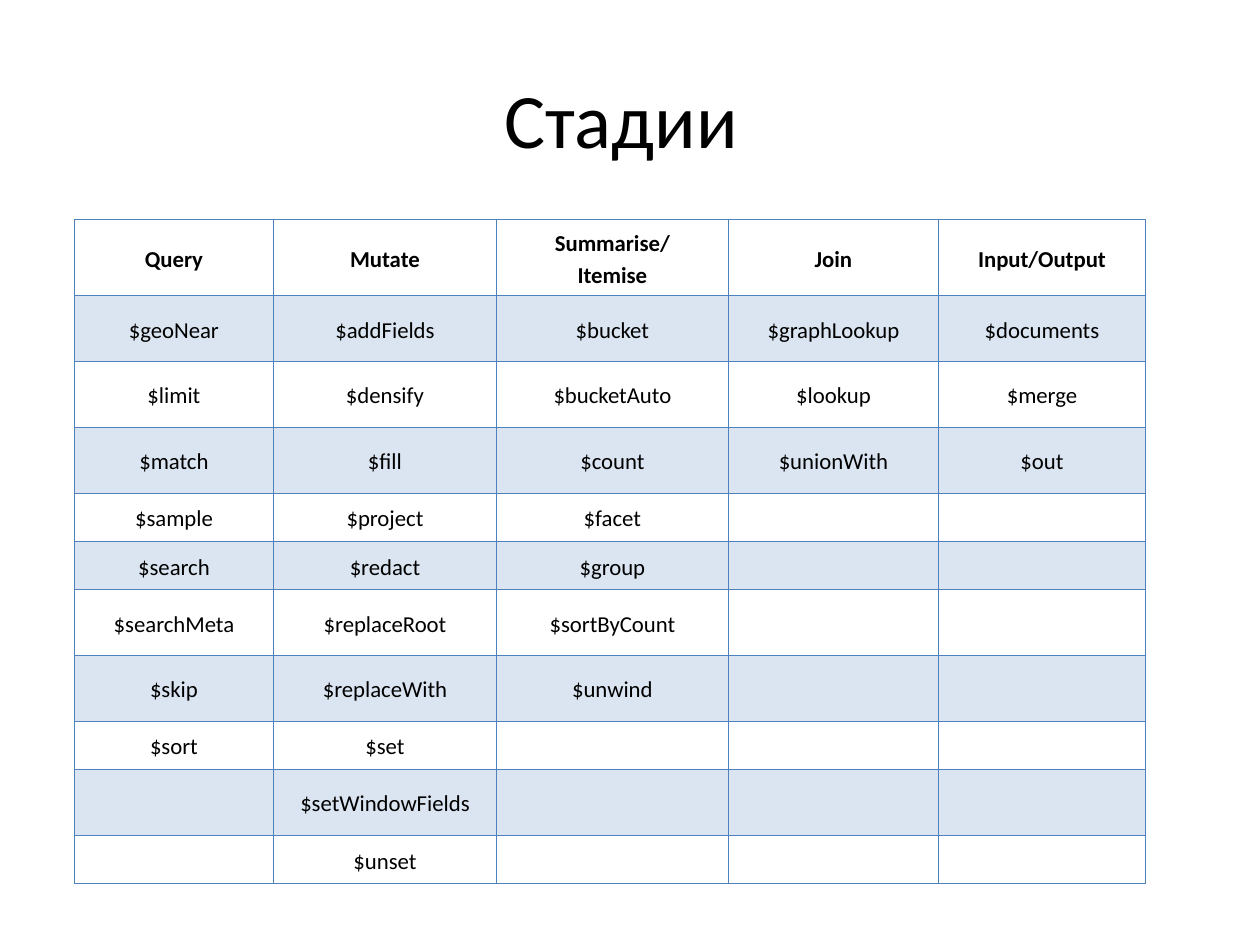
from dataclasses import dataclass

from lxml import etree
from pptx import Presentation
from pptx import util as u
from pptx.dml.color import RGBColor
from pptx.enum import text
from pptx.oxml.ns import qn


@dataclass(frozen=True)
class Theme:
    font: str = "Calibri"
    ink: str = "000000"
    accent: str = "4F81BD"
    band_alpha: int = 20  # percent
    title_size: int = 44
    cell_size: int = 13
    thin: float = 0.45
    thick: float = 0.96


THEME = Theme()
SLIDE_W, SLIDE_H = u.Inches(10), u.Inches(7.5)

# Boxes as shares of the slide: left, top, width, height
TITLE_BOX = (0.05, 0.04, 0.9, 0.17)
STAGES_BOX = (0.059, 0.232, 0.85, 0.703)

STAGES = {
    "Query": "$geoNear $limit $match $sample $search $searchMeta $skip $sort",
    "Mutate": "$addFields $densify $fill $project $redact $replaceRoot "
              "$replaceWith $set $setWindowFields $unset",
    "Summarise/\vItemise": "$bucket $bucketAuto $count $facet $group "
                           "$sortByCount $unwind",
    "Join": "$graphLookup $lookup $unionWith",
    "Input/Output": "$documents $merge $out",
}
COLUMN_SHARES = (1.58, 1.77, 1.84, 1.67, 1.64)
HEAD, TALL, LOW = 0.6, 0.52, 0.38
ROW_SHARES = (HEAD, TALL, TALL, TALL, LOW, LOW, TALL, TALL, LOW, TALL, LOW)

CELL_FORMAT = {
    "margin_left": u.Inches(0.19), "margin_right": u.Inches(0.19),
    "margin_top": u.Inches(0.05), "margin_bottom": u.Inches(0.05),
    "vertical_anchor": text.MSO_ANCHOR.MIDDLE,
}
CELL_PARAGRAPH = {
    "alignment": text.PP_ALIGN.CENTER,
    "line_spacing": 1.15, "space_after": u.Pt(8),
}


def apply(target, values):
    for name, value in values.items():
        setattr(target, name, value)


def place(box):
    return [round(share * side)
            for share, side in zip(box, (SLIDE_W, SLIDE_H) * 2)]


def split(total, shares):
    return [round(total * share / sum(shares)) for share in shares]


def style_runs(paragraph, size, bold=False):
    for run in paragraph.runs:
        apply(run.font, {"name": THEME.font, "size": u.Pt(size), "bold": bold})
        run.font.color.rgb = RGBColor.from_string(THEME.ink)


def add_title(slide, box, wording):
    heading = slide.shapes.add_textbox(*place(box)).text_frame
    apply(heading, {"word_wrap": True,
                    "vertical_anchor": text.MSO_ANCHOR.MIDDLE})
    line = heading.paragraphs[0]
    apply(line, {"text": wording, "alignment": text.PP_ALIGN.CENTER})
    style_runs(line, THEME.title_size)


def set_borders(cell, widths):
    properties = cell._tc.get_or_add_tcPr()
    for position, (side, width) in enumerate(widths.items()):
        border = etree.Element(qn(f"a:ln{side}"), w=str(int(u.Pt(width))))
        paint = etree.SubElement(border, qn("a:solidFill"))
        etree.SubElement(paint, qn("a:srgbClr"), val=THEME.accent)
        properties.insert(position, border)


def fill_cell(cell, banded):
    if not banded:
        cell.fill.background()
        return
    cell.fill.solid()
    cell.fill.fore_color.rgb = RGBColor.from_string(THEME.accent)
    tint = cell._tc.tcPr.find(".//" + qn("a:srgbClr"))
    etree.SubElement(tint, qn("a:alpha"), val=str(THEME.band_alpha * 1000))


def write_cell(cell, wording, row):
    apply(cell, CELL_FORMAT)
    line = cell.text_frame.paragraphs[0]
    apply(line, CELL_PARAGRAPH)
    if wording:
        line.text = wording
        style_runs(line, THEME.cell_size, bold=row == 0)
    else:  # keeps empty cells as low as filled ones
        etree.SubElement(line._p, qn("a:endParaRPr"),
                         sz=str(THEME.cell_size * 100))
    fill_cell(cell, banded=row % 2 == 1)
    set_borders(cell, {
        "L": THEME.thin, "R": THEME.thin,
        "T": THEME.thick if row == 1 else THEME.thin,
        "B": THEME.thick if row == 0 else THEME.thin,
    })


def add_stages(slide, box, stages):
    left, top, width, height = place(box)
    table = slide.shapes.add_table(len(ROW_SHARES), len(stages),
                                   left, top, width, height).table
    apply(table, {"first_row": False, "horz_banding": False})
    for column, size in zip(table.columns, split(width, COLUMN_SHARES)):
        column.width = size
    for row, size in zip(table.rows, split(height, ROW_SHARES)):
        row.height = size
    for c, (group, names) in enumerate(stages.items()):
        entries = [group, *names.split()]
        entries += [""] * (len(ROW_SHARES) - len(entries))
        for r, wording in enumerate(entries):
            write_cell(table.cell(r, c), wording, r)


def main():
    deck = Presentation()
    apply(deck, {"slide_width": SLIDE_W, "slide_height": SLIDE_H})
    slide = deck.slides.add_slide(deck.slide_layouts[6])
    add_title(slide, TITLE_BOX, "Стадии ")
    add_stages(slide, STAGES_BOX, STAGES)
    deck.save("out.pptx")


if __name__ == "__main__":
    main()
